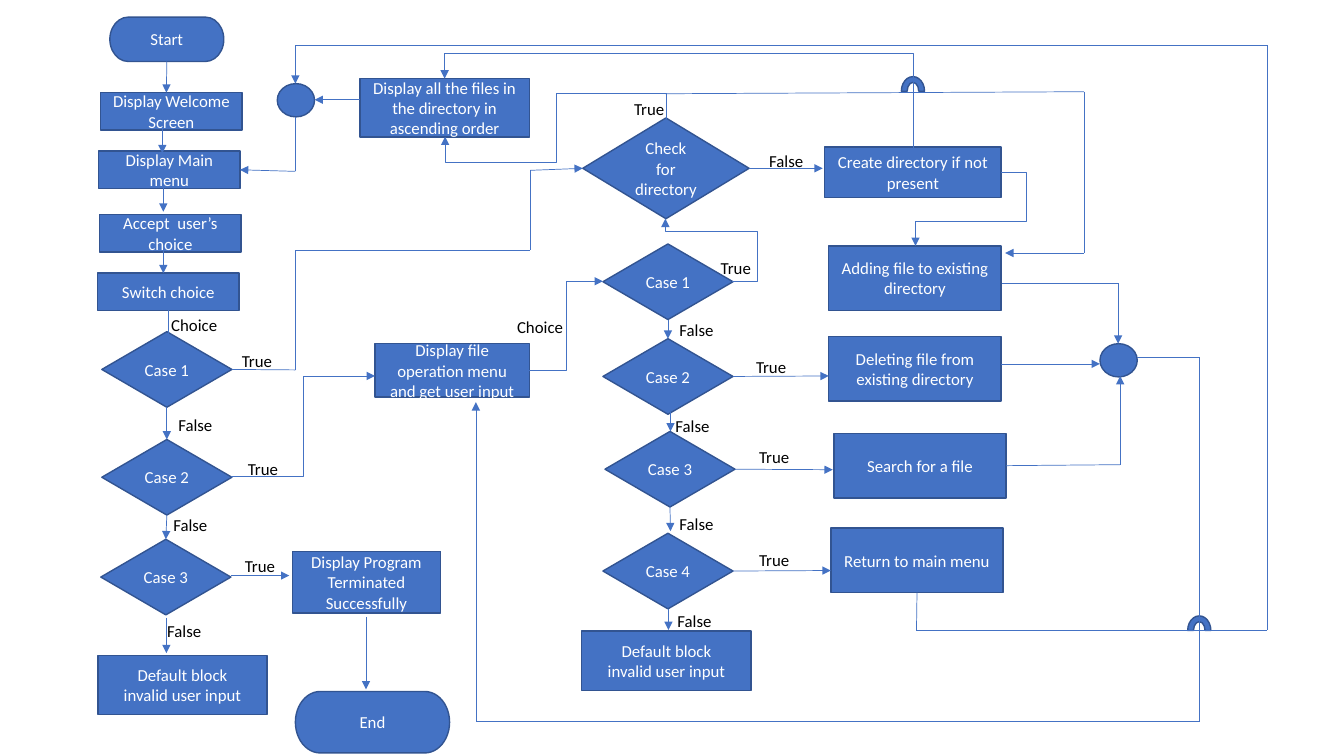
from itertools import pairwise

from lxml import etree
from pptx import Presentation
from pptx.dml.color import RGBColor
from pptx.enum.shapes import MSO_CONNECTOR as Connector, MSO_SHAPE as Shape
from pptx.enum.text import MSO_ANCHOR as Anchor, PP_ALIGN as Align
from pptx.oxml.ns import qn
from pptx.util import Pt

PX = 9144  # 100 px to the inch
BLUE = RGBColor(0x44, 0x72, 0xC4)
NAVY = RGBColor(0x32, 0x54, 0x91)
WHITE = RGBColor(0xFF, 0xFF, 0xFF)
BLACK = RGBColor(0x00, 0x00, 0x00)


def write_text(shape, text, color=WHITE, align=Align.CENTER, anchor=Anchor.MIDDLE):
    frame = shape.text_frame
    frame.word_wrap = True
    frame.vertical_anchor = anchor
    frame.text = text
    for paragraph in frame.paragraphs:
        paragraph.alignment = align
        paragraph.font.name = "Calibri"
        paragraph.font.size = Pt(12)
        paragraph.font.color.rgb = color


def add_line(kind, start, end, arrow):
    """Draw a thin blue connector between two points in px."""
    connector = slide.shapes.add_connector(kind, *(n * PX for n in (*start, *end)))
    connector.line.color.rgb = BLUE
    connector.line.width = Pt(0.5)
    if arrow:
        etree.SubElement(connector.line._get_or_add_ln(), qn("a:tailEnd"), type="triangle")
    etree.SubElement(connector._element.spPr, qn("a:effectLst"))
    return connector


presentation = Presentation()
presentation.slide_width = 1333 * PX
presentation.slide_height = 750 * PX
slide = presentation.slides.add_slide(presentation.slide_layouts[6])

BOX, STEP = Shape.RECTANGLE, Shape.FLOWCHART_PROCESS
CASE, TERMINAL = Shape.FLOWCHART_DECISION, Shape.FLOWCHART_TERMINATOR
TOP, LEFT, BOTTOM, RIGHT = range(4)

blocks = [
    ("start", TERMINAL, 109, 17, 113, 44, "Start"),
    ("welcome", BOX, 100, 92, 140, 37, "Display Welcome Screen"),
    ("main menu", BOX, 98, 150, 140, 37, "Display Main menu"),
    ("accept", BOX, 99, 213, 140, 37, "Accept  user’s choice"),
    ("switch", BOX, 97, 271, 140, 37, "Switch choice"),
    ("menu case 1", CASE, 101, 329, 129, 75, "Case 1"),
    ("menu case 2", CASE, 101, 436, 129, 75, "Case 2"),
    ("menu case 3", CASE, 100, 535, 129, 75, "Case 3"),
    ("menu default", STEP, 97, 650, 168, 59, "Default block\ninvalid user input"),
    ("terminated", STEP, 290, 547, 147, 61, "Display Program Terminated Successfully"),
    ("end", TERMINAL, 293, 686, 153, 61, "End"),
    ("list files", BOX, 357, 78, 168, 58,
     "Display all the files in the directory in ascending order"),
    ("file menu", STEP, 372, 341, 153, 53, "Display file operation menu and get user input"),
    ("check", CASE, 578, 117, 165, 100, "Check for directory"),
    ("file case 1", CASE, 598, 242, 129, 75, "Case 1"),
    ("file case 2", CASE, 598, 336, 129, 75, "Case 2"),
    ("file case 3", CASE, 600, 428, 129, 75, "Case 3"),
    ("file case 4", CASE, 598, 529, 129, 75, "Case 4"),
    ("file default", STEP, 577, 626, 168, 59, "Default block\ninvalid user input"),
    ("create", BOX, 818, 146, 175, 50, "Create directory if not present"),
    ("add", BOX, 822, 244, 171, 64, "Adding file to existing directory"),
    ("delete", BOX, 822, 334, 171, 64, "Deleting file from existing directory"),
    ("search", BOX, 827, 430, 171, 64, "Search for a file"),
    ("return", BOX, 824, 524, 171, 64, "Return to main menu"),
    ("menu junction", Shape.OVAL, 275, 83, 37, 33, ""),
    ("file junction", Shape.OVAL, 1091, 341, 37, 33, ""),
    ("upper bridge", Shape.BLOCK_ARC, 894, 76, 23, 29, ""),
    ("lower bridge", Shape.BLOCK_ARC, 1178, 611, 23, 29, ""),
]
shapes = {}
for name, preset, left, top, width, height, text in blocks:
    shape = slide.shapes.add_shape(preset, left * PX, top * PX, width * PX, height * PX)
    shape.shadow.inherit = False
    shape.fill.solid()
    shape.fill.fore_color.rgb = BLUE
    shape.line.color.rgb = NAVY
    shape.line.width = Pt(1)
    if text:
        write_text(shape, text)
    shapes[name] = shape

# A stop is a point, or a block and the side whose middle it meets
arrow_routes = [
    [("start", BOTTOM), (165, 92)],
    [(161, 126), (161, 152)],
    [(162, 187), (162, 210)],
    [(162, 248), (162, 271)],
    [("menu case 1", BOTTOM), ("menu case 2", TOP)],
    [("menu case 2", BOTTOM), ("menu case 3", TOP)],
    [(165, 613), (165, 648)],
    [(229, 571), (287, 571)],
    [(363, 612), (363, 684)],
    [("menu case 1", RIGHT), (293, 367), (293, 248), (526, 248), (526, 169), ("check", LEFT)],
    [(357, 99), (312, 99)],
    [(293, 116), (293, 170), ("main menu", RIGHT)],
    [("check", RIGHT), (816, 167)],
    [("file case 1", BOTTOM), ("file case 2", TOP)],
    [(665, 409), (665, 428)],
    [("file case 3", BOTTOM), (665, 527)],
    [(663, 604), (663, 625)],
    [("file case 2", RIGHT), (822, 373)],
    [("file case 3", RIGHT), (826, 466)],
    [("file case 4", RIGHT), (824, 566)],
    [(660, 93), (1075, 91), (1075, 251), (997, 251)],
    [(994, 281), (1109, 281), (1109, 341)],
    [(993, 361), (1091, 361)],
    [("search", RIGHT), (1111, 461), (1111, 373)],
    [(1128, 355), (1190, 355), (1190, 716), (472, 716), (472, 399)],
    [("return", BOTTOM), (909, 625), (1257, 625), (1257, 45), (293, 45), (293, 83)],
]
plain_routes = [[("switch", BOTTOM), (167, 336)]]

for route in arrow_routes + plain_routes:
    for number, stops in enumerate(pairwise(route), start=2):
        points = [(0, 0) if isinstance(stop[0], str) else stop for stop in stops]
        arrow = number == len(route) and route not in plain_routes
        connector = add_line(Connector.STRAIGHT, *points, arrow)
        for stop, join in zip(stops, (connector.begin_connect, connector.end_connect)):
            if isinstance(stop[0], str):
                join(shapes[stop[0]], stop[1])

# Preset, start and end before turning, degrees of turn, bend positions
elbows = [
    ("bentConnector3", (525, 367), (598, 279), 0, [50000]),
    ("bentConnector3", (229, 473), (372, 373), 0, [50000]),
    ("bentConnector4", (726, 279), (660, 217), 0, [-38000, 80100]),
    ("bentConnector4", (993, 171), (908, 244), 0, [-29300, 67000]),
    ("bentConnector5", (560, 236), (542, 17), 270, [-141500, 49600, 241500]),
    ("bentConnector3", (639, 345), (708, -120), 270, [136500]),
]
for preset, start, end, turn, bends in elbows:
    properties = add_line(Connector.ELBOW, start, end, True)._element.spPr
    properties.find(qn("a:xfrm")).set("rot", str(turn * 60000))
    geometry = properties.find(qn("a:prstGeom"))
    geometry.set("prst", preset)
    for number, bend in enumerate(bends, start=1):
        etree.SubElement(geometry.find(qn("a:avLst")), qn("a:gd"),
                         name=f"adj{number}", fmla=f"val {bend}")

labels = {
    "Choice": [(160, 307), (503, 309)],
    "True": [(230, 343), (236, 450), (233, 546), (619, 93), (705, 251),
             (740, 349), (743, 438), (743, 540)],
    "False": [(167, 407), (162, 506), (156, 611), (753, 145), (664, 312),
              (660, 408), (664, 505), (662, 601)],
}
for text, places in labels.items():
    for left, top in places:
        label = slide.shapes.add_textbox(left * PX, top * PX, 82 * PX, 30 * PX)
        write_text(label, text, color=BLACK, align=Align.LEFT, anchor=Anchor.TOP)

presentation.save("out.pptx")
